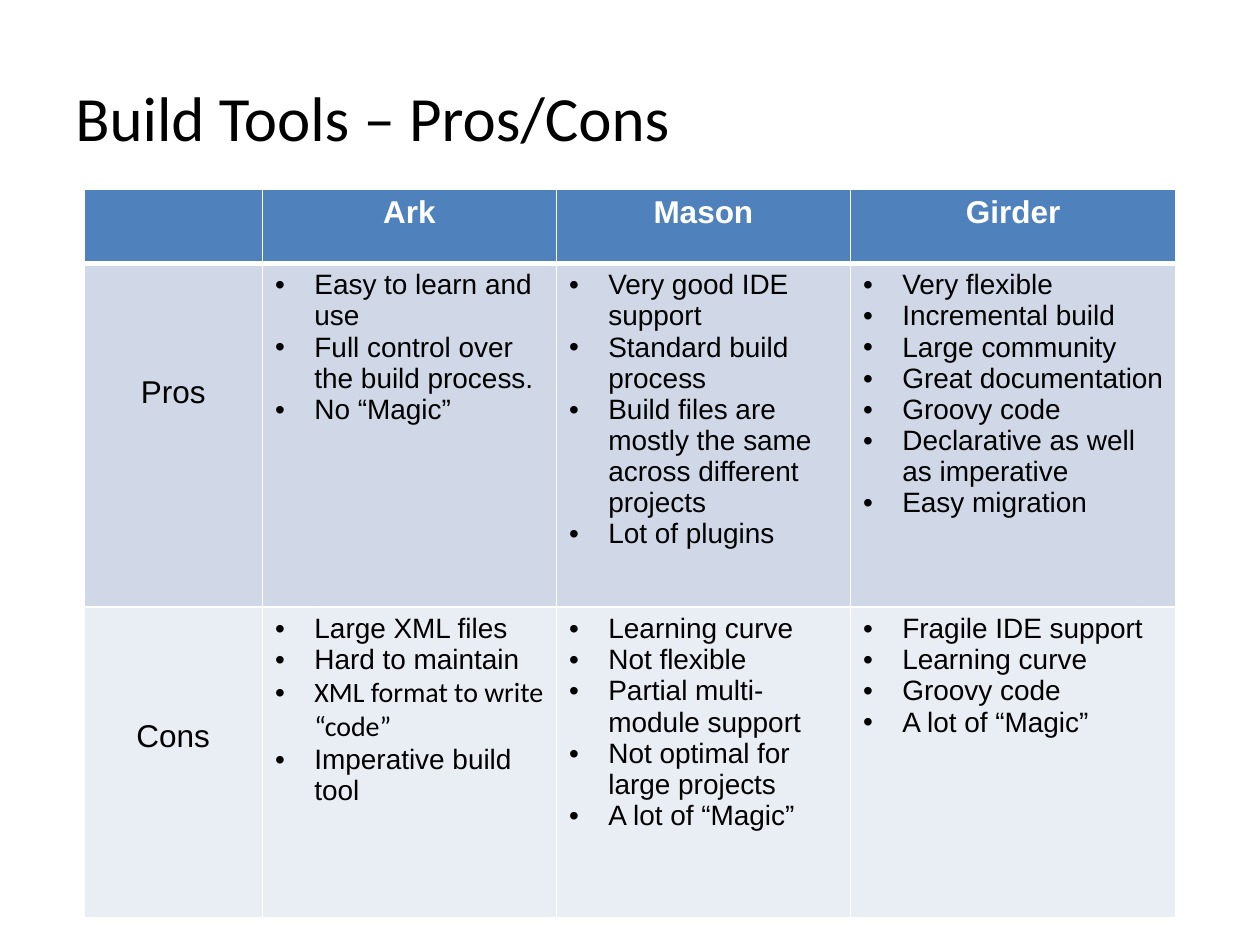
from lxml.etree import SubElement
from pptx import Presentation
from pptx.dml.color import RGBColor
from pptx.enum.text import MSO_ANCHOR, PP_ALIGN
from pptx.oxml import parse_xml
from pptx.oxml.ns import nsdecls, qn
from pptx.util import Pt

BLACK = RGBColor(0x00, 0x00, 0x00)
WHITE = RGBColor(0xFF, 0xFF, 0xFF)
BLUE = RGBColor(0x4F, 0x81, 0xBD)
MID = RGBColor(0xD0, 0xD8, 0xE8)
PALE = RGBColor(0xE9, 0xED, 0xF4)

TOOLS = ["Ark", "Mason", "Girder"]
PROS = [
    ["Easy to learn and use", "Full control over the build process.",
     "No “Magic”"],
    ["Very good IDE support", "Standard build process",
     "Build files are mostly the same across different projects",
     "Lot of plugins"],
    ["Very flexible", "Incremental build", "Large community",
     "Great documentation", "Groovy code",
     "Declarative as well as imperative", "Easy migration"],
]
CODE = "XML format to write “code”"
CONS = [
    ["Large XML files", "Hard to maintain", CODE, "Imperative build tool"],
    ["Learning curve", "Not flexible", "Partial multi-module support",
     "Not optimal for large projects", "A lot of “Magic”"],
    ["Fragile IDE support", "Learning curve", "Groovy code",
     "A lot of “Magic”"],
]
WIDTHS = [102, 168, 168, 186]
HEIGHTS = [42.5, 196.5, 177.5]


def write(para, text, size=16, font="Arial", color=BLACK, bold=False,
          align=PP_ALIGN.LEFT, bullet=False):
    para.alignment = align
    run = para.add_run()
    run.text = text
    run.font.size = Pt(size)
    run.font.name = font
    run.font.color.rgb = color
    run.font.bold = bold
    if bullet:
        props = para._p.get_or_add_pPr()
        props.set("marL", str(Pt(22.5)))
        props.set("indent", str(-Pt(22.5)))
        SubElement(props, qn("a:buFont")).set("typeface", "Arial")
        SubElement(props, qn("a:buChar")).set("char", "•")


def border(cell, top=1, bottom=1):
    props = cell._tc.get_or_add_tcPr()
    sides = {"L": 1, "R": 1, "T": top, "B": bottom}
    for spot, (side, width) in enumerate(sides.items()):
        props.insert(spot, parse_xml(
            f'<a:ln{side} {nsdecls("a")} w="{Pt(width)}"><a:solidFill>'
            f'<a:srgbClr val="{WHITE}"/></a:solidFill></a:ln{side}>'))


def paint(cell, color, **edges):
    cell.fill.solid()
    cell.fill.fore_color.rgb = color
    border(cell, **edges)


def label(cell, text):
    cell.margin_top = Pt(64)
    write(cell.text_frame.paragraphs[0], text, size=18,
          align=PP_ALIGN.CENTER)


def points(cell, items):
    frame = cell.text_frame
    for spot, item in enumerate(items):
        para = frame.add_paragraph() if spot else frame.paragraphs[0]
        font = "Calibri" if item == CODE else "Arial"
        write(para, item, font=font, bullet=True)


def title(slide, text):
    box = slide.shapes.add_textbox(Pt(36), Pt(21.6), Pt(648), Pt(90))
    frame = box.text_frame
    frame.word_wrap = True
    frame.vertical_anchor = MSO_ANCHOR.MIDDLE
    write(frame.paragraphs[0], text, size=36, font="Calibri")


def grid(slide):
    table = slide.shapes.add_table(
        len(HEIGHTS), len(WIDTHS), Pt(48), Pt(108),
        Pt(sum(WIDTHS)), Pt(sum(HEIGHTS))).table
    for col, width in zip(table.columns, WIDTHS):
        col.width = Pt(width)
    for row, height in zip(table.rows, HEIGHTS):
        row.height = Pt(height)

    head, *body = table.rows
    for cell in head.cells:
        paint(cell, BLUE, bottom=3)
    for cell, tool in zip(list(head.cells)[1:], TOOLS):
        write(cell.text_frame.paragraphs[0], tool, size=18, color=WHITE,
              bold=True, align=PP_ALIGN.CENTER)

    parts = [("Pros", PROS, MID, 3), ("Cons", CONS, PALE, 1)]
    for row, (name, lists, color, top) in zip(body, parts):
        first, *rest = row.cells
        paint(first, color, top=top)
        label(first, name)
        for cell, items in zip(rest, lists):
            paint(cell, color, top=top)
            points(cell, items)


def main():
    deck = Presentation()
    deck.slide_width = Pt(720)
    deck.slide_height = Pt(540)
    slide = deck.slides.add_slide(deck.slide_layouts[6])
    title(slide, "Build Tools – Pros/Cons")
    grid(slide)
    deck.save("out.pptx")


main()
